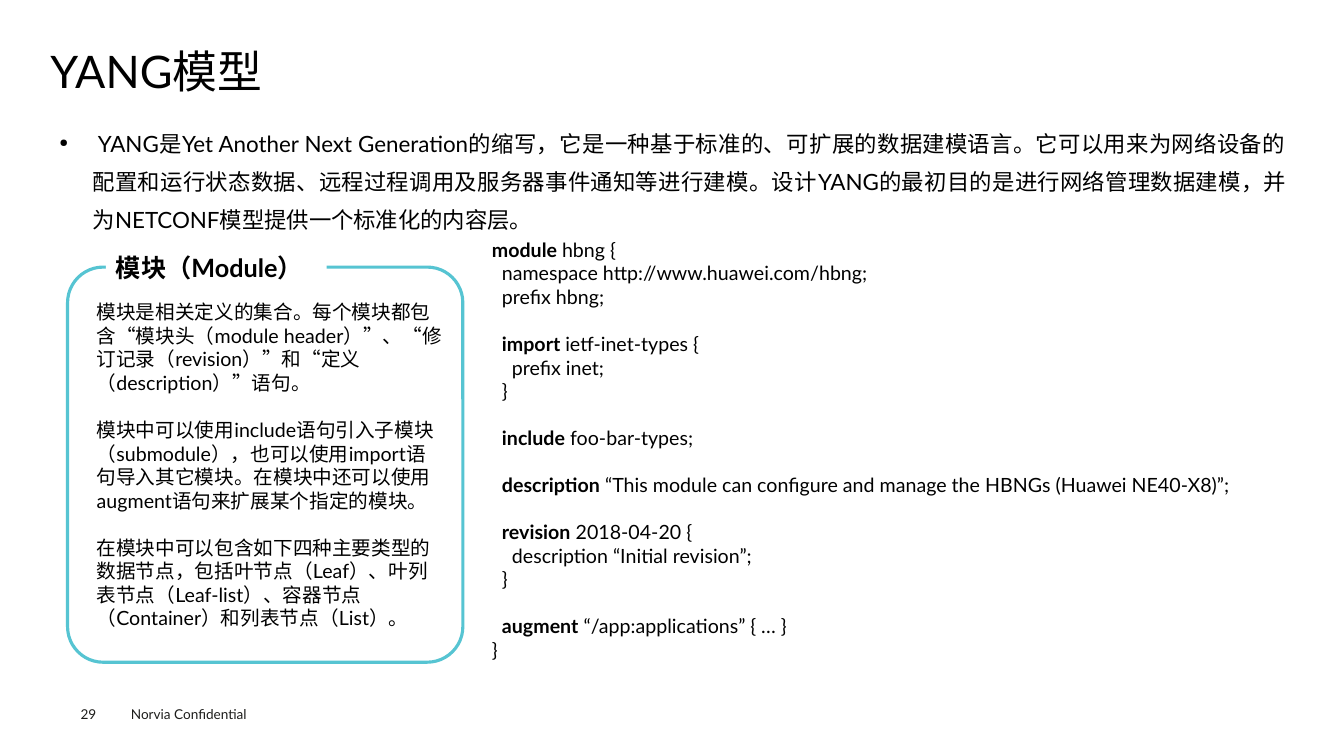
from dataclasses import dataclass

from lxml.etree import SubElement
from pptx import Presentation
from pptx.dml.color import RGBColor
from pptx.enum.shapes import MSO_SHAPE
from pptx.enum.text import MSO_ANCHOR, PP_ALIGN
from pptx.oxml.ns import qn
from pptx.util import Inches, Pt

COLORS = {"text": "000000", "footer": "1D1D1B", "frame": "56C4D2", "label": "FFFFFF"}
FONT = "Lato"
BLANK_LINE = 16.8

INTRODUCTION = (
    " YANG是Yet Another Next Generation的缩写，它是一种基于标准的、可扩展的数据建模语言。"
    "它可以用来为网络设备的配置和运行状态数据、远程过程调用及服务器事件通知等进行建模。"
    "设计YANG的最初目的是进行网络管理数据建模，并为NETCONF模型提供一个标准化的内容层。"
)
MODULE_TEXT = [
    "模块是相关定义的集合。每个模块都包含“模块头（module header）”、“修订记录（revision）”"
    "和“定义（description）”语句。",
    "模块中可以使用include语句引入子模块（submodule），也可以使用import语句导入其它模块。"
    "在模块中还可以使用augment语句来扩展某个指定的模块。",
    "在模块中可以包含如下四种主要类型的数据节点，包括叶节点（Leaf）、叶列表节点（Leaf-list）、"
    "容器节点（Container）和列表节点（List）。",
]
CODE_STANZAS = [
    ["|module |hbng {", "  namespace http://www.huawei.com/hbng;", "  prefix hbng;"],
    ["  |import |ietf-inet-types {", "    prefix inet;", "  }"],
    ["  |include| foo-bar-types;"],
    ["  |description| “This module can configure and manage the HBNGs (Huawei NE40-X8)”;"],
    ["  |revision| 2018-04-20 {", "    description “Initial revision”;", "  }"],
    ["  |augment| “/app:applications” { … }", "}"],
]


@dataclass
class Box:
    """A rectangle whose inner areas are given in percent of its size."""

    left: int
    top: int
    width: int
    height: int

    def area(self, left, top, width, height):
        """Return the box at the given percentages of this one."""
        return Box(
            int(self.left + self.width * left / 100),
            int(self.top + self.height * top / 100),
            int(self.width * width / 100),
            int(self.height * height / 100),
        )

    def bounds(self):
        """Return the four lengths in the order that shapes take."""
        return self.left, self.top, self.width, self.height


def set_font(paragraph, size, color="text", bold=False):
    """Set the font of a whole paragraph or of one run."""
    paragraph.font.name = FONT
    paragraph.font.size = Pt(size)
    paragraph.font.bold = bold
    paragraph.font.color.rgb = RGBColor.from_string(COLORS[color])


def add_text(slide, box, texts, size, color="text", inset=True, gap=0):
    """Add a text box with one paragraph per text and return its frame."""
    frame = slide.shapes.add_textbox(*box.bounds()).text_frame
    frame.word_wrap = True
    if not inset:
        frame.margin_left = frame.margin_right = 0
        frame.margin_top = frame.margin_bottom = 0
    for index, text in enumerate(texts):
        paragraph = frame.add_paragraph() if index else frame.paragraphs[0]
        paragraph.text = text
        set_font(paragraph, size, color)
        if index and gap:
            paragraph.space_before = Pt(gap)
    return frame


def add_title(slide, box):
    """Add the slide title."""
    frame = add_text(slide, box, ["YANG模型"], 32, inset=False)
    frame.paragraphs[0].line_spacing = 0.9


def add_introduction(slide, box):
    """Add the justified bullet that introduces the language."""
    frame = slide.shapes.add_textbox(*box.bounds()).text_frame
    frame.word_wrap = True
    frame.margin_left = frame.margin_right = Inches(0.09)
    frame.margin_top = frame.margin_bottom = Inches(0.04)
    paragraph = frame.paragraphs[0]
    paragraph.text = INTRODUCTION
    properties = paragraph._p.get_or_add_pPr()
    properties.set("marL", str(Inches(0.33)))
    properties.set("indent", str(-Inches(0.33)))
    SubElement(properties, qn("a:buSzPct"), val="50000")
    SubElement(properties, qn("a:buChar"), char="●")
    paragraph.alignment = PP_ALIGN.JUSTIFY
    paragraph.line_spacing = 1.4
    set_font(paragraph, 16)


def add_module_panel(slide, box):
    """Add the rounded frame with its label and explanation."""
    frame = slide.shapes.add_shape(MSO_SHAPE.ROUNDED_RECTANGLE, *box.bounds())
    frame.adjustments[0] = 0.09
    frame.shadow.inherit = False
    frame.fill.background()
    frame.line.color.rgb = RGBColor.from_string(COLORS["frame"])
    frame.line.width = Pt(2.25)

    label = slide.shapes.add_shape(
        MSO_SHAPE.RECTANGLE, *box.area(9.69, -4.85, 55.87, 9.95).bounds()
    )
    label.shadow.inherit = False
    label.fill.solid()
    label.fill.fore_color.rgb = RGBColor.from_string(COLORS["label"])
    label.line.fill.background()
    label.text_frame.word_wrap = False
    label.text_frame.vertical_anchor = MSO_ANCHOR.MIDDLE
    heading = label.text_frame.paragraphs[0]
    heading.text = "模块（Module）"
    heading.alignment = PP_ALIGN.LEFT
    set_font(heading, 18, bold=True)

    add_text(slide, box.area(4.85, 7.14, 92.6, 86.73), MODULE_TEXT, 14, gap=BLANK_LINE)


def add_code(slide, box):
    """Add the module listing with bold keywords and a gap between stanzas."""
    lines = [line for stanza in CODE_STANZAS for line in stanza]
    frame = add_text(slide, box, [""] * len(lines), 14)
    paragraphs = iter(frame.paragraphs)
    for stanza_index, stanza in enumerate(CODE_STANZAS):
        for line_index, line in enumerate(stanza):
            paragraph = next(paragraphs)
            if stanza_index and not line_index:
                paragraph.space_before = Pt(BLANK_LINE)
            for piece_index, piece in enumerate(line.split("|")):
                if piece:
                    run = paragraph.add_run()
                    run.text = piece
                    set_font(run, 14, bold=piece_index == 1)


def add_footer(slide, box):
    """Add the page number and the confidentiality note."""
    add_text(slide, box.area(0, 18.52, 27.5, 59.26), ["29"], 9.7, "footer", inset=False)
    add_text(slide, box.area(20, 0, 80, 100), ["Norvia Confidential"], 9.7, "footer")


def main():
    """Build the slide and save it."""
    presentation = Presentation()
    presentation.slide_width = Inches(13.33)
    presentation.slide_height = Inches(7.5)
    slide = presentation.slides.add_slide(presentation.slide_layouts[6])
    page = Box(0, 0, presentation.slide_width, presentation.slide_height)
    add_footer(slide, page.area(6, 92.67, 15, 3.6))
    add_title(slide, page.area(3.75, 6.53, 92.65, 7.07))
    add_introduction(slide, page.area(3.75, 15.33, 92.65, 71.2))
    add_module_panel(slide, page.area(5.03, 35.33, 29.41, 52.27))
    add_code(slide, page.area(35.86, 30.8, 60.02, 57.87))
    presentation.save("out.pptx")


if __name__ == "__main__":
    main()
